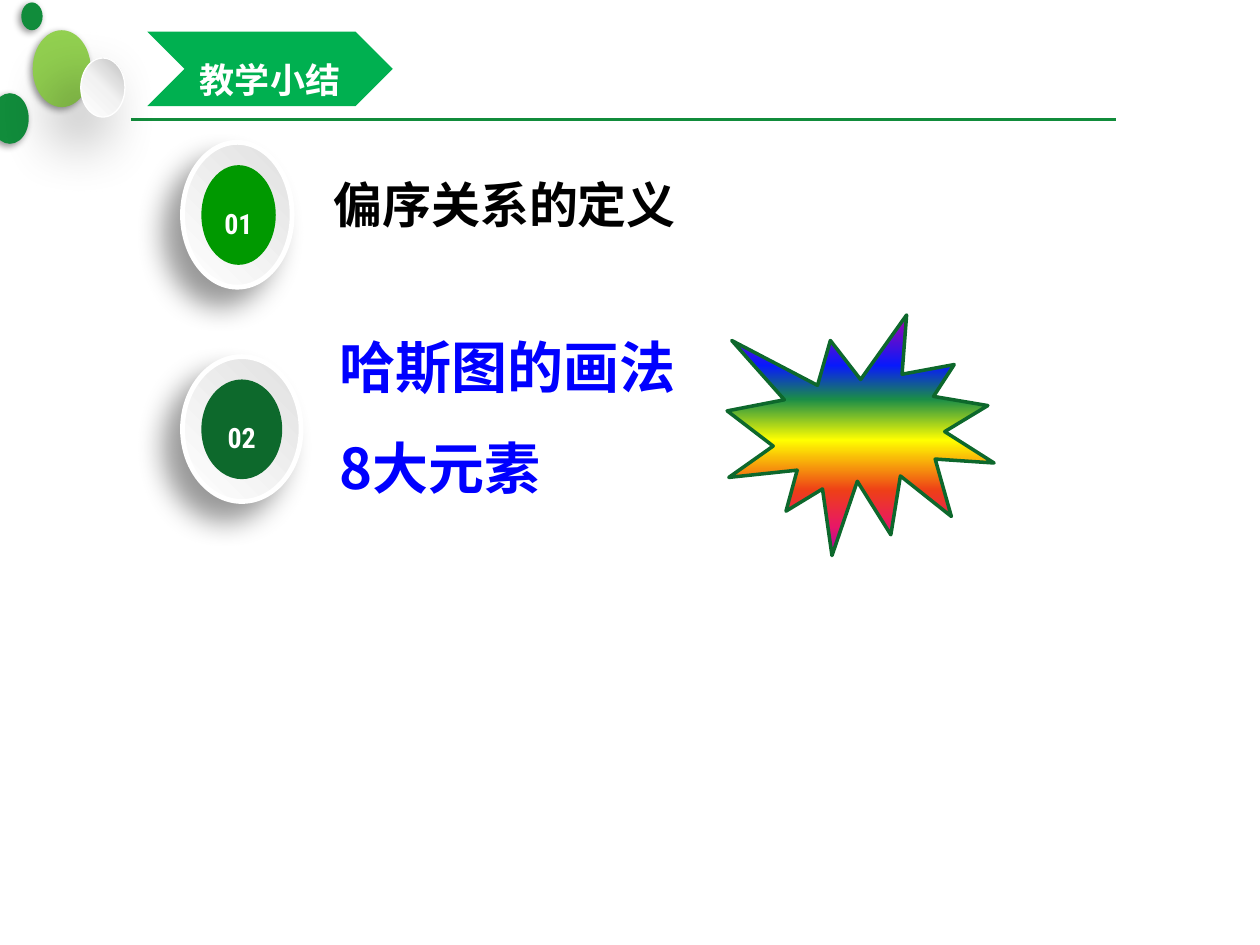
from lxml import etree
from pptx import Presentation
from pptx.dml.color import RGBColor
from pptx.enum.shapes import MSO_CONNECTOR, MSO_SHAPE
from pptx.enum.text import MSO_ANCHOR, MSO_AUTO_SIZE, PP_ALIGN
from pptx.oxml.ns import qn
from pptx.util import Cm, Pt

OVAL, CHEVRON, BURST = MSO_SHAPE.OVAL, MSO_SHAPE.CHEVRON, MSO_SHAPE.EXPLOSION1
STRAIGHT = MSO_CONNECTOR.STRAIGHT
TOP, MIDDLE = MSO_ANCHOR.TOP, MSO_ANCHOR.MIDDLE
LEFT, CENTER = PP_ALIGN.LEFT, PP_ALIGN.CENTER
NO_FIT = MSO_AUTO_SIZE.NONE

CHINESE, LATIN = "Noto Sans CJK SC", "Roboto Condensed"
WHITE, GREEN = "FFFFFF", "118C3B"
DOT_SHADOW = (4, 2)
TITLE_BOX = (2.97, 0.64, 4.95, 1.5)
RAINBOW = [(0, "A603AB"), (21, "0819FB"), (35, "1A8D48"), (52, "FFFF00"),
           (73, "EE3F17"), (88, "E81766"), (100, "A603AB")]


def color(value):
    return RGBColor.from_string(value)


def add_node(parent, tag, **attributes):
    node = etree.SubElement(parent, qn(tag))
    for name, value in attributes.items():
        node.set(name, str(value))
    return node


def set_gradient(shape, stops, angle):
    """Fill with (percent, colour) stops; the angle runs clockwise."""
    shape.fill.gradient()
    shape.fill.gradient_angle = (360 - angle) % 360
    stop_list = shape.fill._xPr.find(".//" + qn("a:gsLst"))
    for old_stop in list(stop_list):
        stop_list.remove(old_stop)
    for percent, value in stops:
        stop = add_node(stop_list, "a:gs", pos=percent * 1000)
        add_node(stop, "a:srgbClr", val=value)


def set_shadow(shape, blur, distance):
    """Cast a soft black shadow to the lower left."""
    effects = shape.element.spPr.find(qn("a:effectLst"))
    shadow = add_node(effects, "a:outerShdw", blurRad=Pt(blur), dist=Pt(distance),
                      dir=135 * 60000, algn="ctr", rotWithShape=0)
    black = add_node(shadow, "a:srgbClr", val="000000")
    add_node(black, "a:alpha", val=40000)


def add_figure(shapes, kind, box, fill, angle=0, line=None, shadow=None):
    """Draw a preset shape; fill is one colour or a list of gradient stops."""
    shape = shapes.add_shape(kind, *map(Cm, box))
    shape.shadow.inherit = False
    if isinstance(fill, str):
        shape.fill.solid()
        shape.fill.fore_color.rgb = color(fill)
    else:
        set_gradient(shape, fill, angle)
    if line:
        shape.line.color.rgb = color(line[0])
        shape.line.width = Pt(line[1])
    else:
        shape.line.fill.background()
    if shadow:
        set_shadow(shape, *shadow)
    return shape


def write(shape, lines, size, value=WHITE, font=CHINESE, align=CENTER, anchor=MIDDLE,
          spacing=1.5, insets=(0, 0, 0, 0)):
    frame = shape.text_frame
    frame.word_wrap = True
    frame.auto_size = NO_FIT
    frame.vertical_anchor = anchor
    (frame.margin_left, frame.margin_top,
     frame.margin_right, frame.margin_bottom) = map(Cm, insets)
    for index, text in enumerate(lines):
        para = frame.add_paragraph() if index else frame.paragraphs[0]
        properties = para._p.get_or_add_pPr()
        properties.set("marL", "0")
        properties.set("indent", "0")
        add_node(properties, "a:buNone")
        para.alignment = align
        para.line_spacing = spacing
        para.space_before = para.space_after = Pt(0)
        span = para.add_run()
        span.text = text
        span.font.size = Pt(size)
        span.font.bold = True
        span.font.name = font
        span.font.color.rgb = color(value)
        add_node(span._r.get_or_add_rPr(), "a:ea", typeface=font)


def fill_placeholder(holder, box, lines, size, **style):
    """Move a placeholder, bring it to the front and write in it."""
    holder.left, holder.top, holder.width, holder.height = map(Cm, box)
    holder.element.getparent().append(holder.element)
    write(holder, lines, size, **style)


def add_badge(page, number, top, width, core_width, fill):
    """A pale raised disc with a numbered core."""
    group = page.shapes.add_group_shape()
    left = 3.68
    add_figure(group.shapes, OVAL, (left, top, width, 2.92),
               [(0, "E0E0E0"), (100, WHITE)], 135, (WHITE, 2.75), (16, 14))
    core = add_figure(group.shapes, OVAL, (left + 0.38, top + 0.46, core_width, 2.01), fill)
    write(core, [number], 16, font=LATIN)


def add_header(page):
    rule = page.shapes.add_connector(STRAIGHT, Cm(2.64), Cm(2.41), Cm(22.5), Cm(2.41))
    rule.line.color.rgb = color(GREEN)
    rule.line.width = Pt(1.25)
    add_node(rule.element.spPr, "a:effectLst")

    # Corner dots
    add_figure(page.shapes, OVAL, (0.66, 0.61, 1.17, 1.55), "92D050", shadow=DOT_SHADOW)
    add_figure(page.shapes, OVAL, (-0.18, 1.88, 0.76, 1.02), GREEN, shadow=DOT_SHADOW)
    add_figure(page.shapes, OVAL, (1.63, 1.17, 0.89, 1.19),
               [(0, WHITE), (50, "F2F2F2"), (100, "BFBFBF")], 315, (WHITE, 0.75), (35, 20))
    add_figure(page.shapes, OVAL, (0.43, 0.05, 0.43, 0.56), GREEN, shadow=DOT_SHADOW)

    # Title on its arrow
    add_figure(page.shapes, CHEVRON, TITLE_BOX, "00B050")
    fill_placeholder(page.shapes.title, TITLE_BOX, ["教学小结"], 20,
                     insets=(0.25, 0.13, 0.25, 0.13))


def main():
    deck = Presentation()
    deck.slide_width, deck.slide_height = Cm(25.4), Cm(19.05)
    page = deck.slides.add_slide(deck.slide_layouts[3])
    first_item, second_item = page.placeholders[1], page.placeholders[2]

    add_header(page)

    # First topic
    add_badge(page, "01", 2.87, 2.21, 1.5, "009900")
    fill_placeholder(first_item, (6.17, 3.28, 9.58, 2.01), ["偏序关系的定义"], 28,
                     value="000000", align=LEFT, anchor=TOP, spacing=1.2,
                     insets=(0.55, 0, 0.33, 0))

    # Second topic
    add_badge(page, "02", 7.19, 2.39, 1.63, "0D692C")
    fill_placeholder(second_item, (5.82, 6.02, 10.97, 4.85), ["哈斯图的画法", "8大元素"], 32,
                     value="0000FF", align=LEFT, anchor=TOP, insets=(1.03, 0, 0.33, 0))
    add_figure(page.shapes, BURST, (14.66, 6.35, 5.38, 4.85), RAINBOW, 90, ("0D682C", 2))

    deck.save("out.pptx")


if __name__ == "__main__":
    main()
